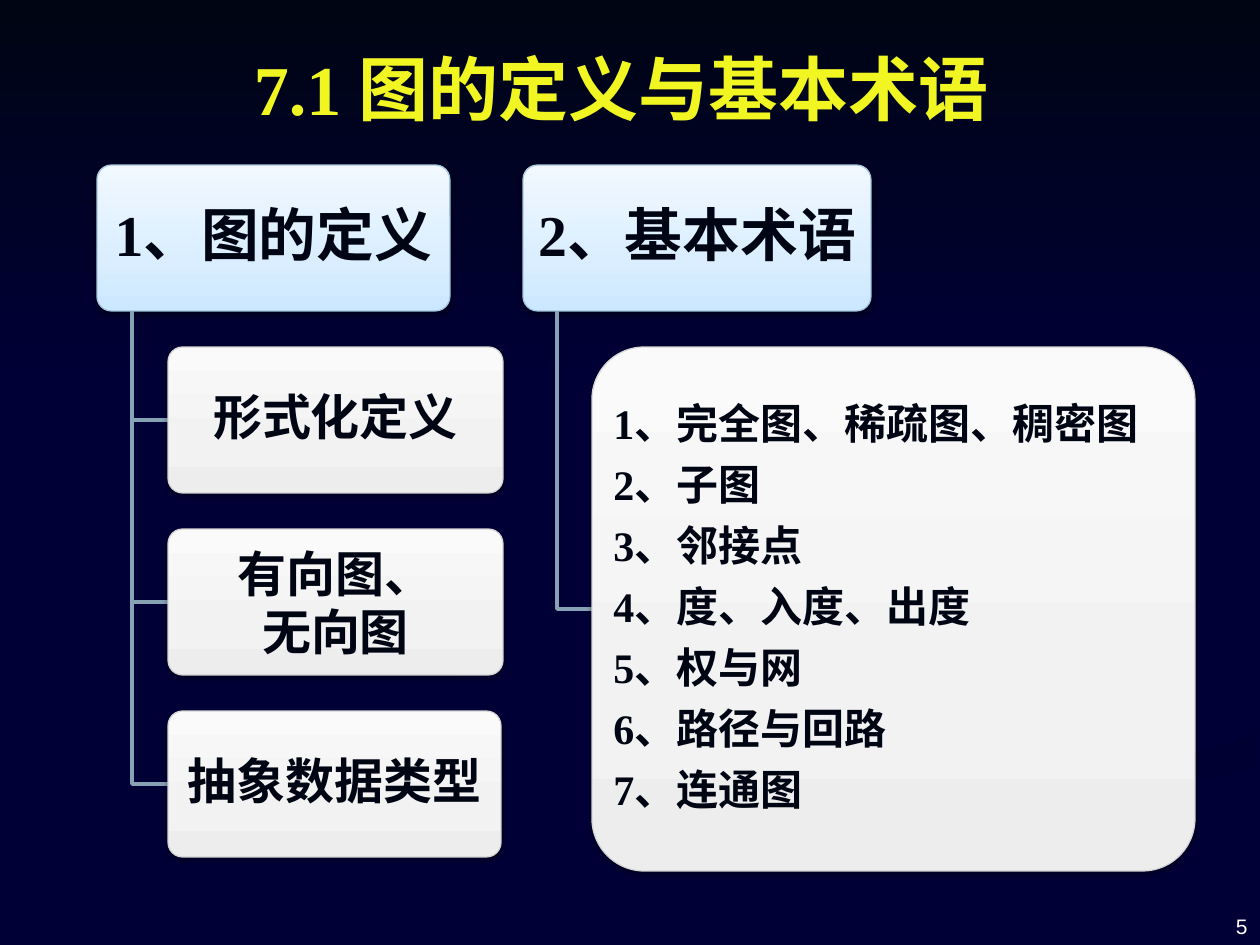
"""Build the overview slide on graph definitions and basic terms."""
from dataclasses import dataclass

from lxml import etree
from pptx import Presentation
from pptx.dml.color import RGBColor
from pptx.enum.shapes import MSO_SHAPE
from pptx.enum.text import MSO_ANCHOR, PP_ALIGN
from pptx.oxml import parse_xml
from pptx.oxml.ns import nsdecls, qn
from pptx.util import Emu, Pt

ROUNDED = MSO_SHAPE.ROUNDED_RECTANGLE
MIDDLE, BOTTOM = MSO_ANCHOR.MIDDLE, MSO_ANCHOR.BOTTOM
LEFT, CENTER, RIGHT = PP_ALIGN.LEFT, PP_ALIGN.CENTER, PP_ALIGN.RIGHT

EMU_PER_PX = 914400 / 126
SERIF, SANS = "Times New Roman", "Arial"

NAVY = RGBColor(0x00, 0x00, 0x36)
SWOOSH = RGBColor(0x00, 0x00, 0x32)
INK = RGBColor(0x00, 0x05, 0x14)
YELLOW = RGBColor(0xF1, 0xF6, 0x22)
WHITE = RGBColor(0xFF, 0xFF, 0xFF)
BRANCH = RGBColor(0x88, 0xA2, 0xB5)
BLUE_EDGE = RGBColor(0xA5, 0xC6, 0xDE)
GREY_EDGE = RGBColor(0xD5, 0xD5, 0xD5)
BLUE_STOPS = [
    (0, RGBColor(0xCC, 0xE8, 0xFF)),
    (35, RGBColor(0xDA, 0xEE, 0xFF)),
    (100, RGBColor(0xF1, 0xF8, 0xFF)),
]
GREY_STOPS = [
    (0, RGBColor(0xED, 0xED, 0xED)),
    (35, RGBColor(0xF2, 0xF2, 0xF2)),
    (100, RGBColor(0xFA, 0xFA, 0xFA)),
]
BACKGROUND_STOPS = [(0, INK), (41, NAVY), (100, NAVY)]
SWOOSH_STOPS = [(0, SWOOSH), (100, NAVY)]
UPWARD, DOWNWARD = 90, 270

SWOOSH_POINTS = [
    (634, 944), (654, 941), (717, 906), (794, 873), (877, 843), (963, 815),
    (1047, 793), (1138, 769), (1197, 753), (1230, 744), (1257, 732),
    (1257, 767), (1138, 794), (1034, 820), (948, 847), (876, 872),
    (818, 895), (756, 923), (719, 944),
]


@dataclass(frozen=True)
class BoxStyle:
    """Look of one level of the hierarchy."""

    stops: list
    edge: RGBColor
    size: int
    inset: tuple
    align: PP_ALIGN = CENTER


@dataclass(frozen=True)
class Box:
    """Rounded box placed in px."""

    left: int
    top: int
    width: int
    height: int
    lines: tuple
    style: BoxStyle
    line_spacing: float = 0.9
    gap: int = 0


HEADING = BoxStyle(BLUE_STOPS, BLUE_EDGE, 33, (9, 6))
TOPIC = BoxStyle(GREY_STOPS, GREY_EDGE, 28, (8, 5))
TERMS = BoxStyle(GREY_STOPS, GREY_EDGE, 24, (6, 4), LEFT)

ROW_TOP, ROW_PITCH, ROW_HEIGHT = 165, 182, 146


def row_top(row: int) -> int:
    """Return the top of a row of boxes."""
    return ROW_TOP + row * ROW_PITCH


TREES = [
    (
        Box(97, row_top(0), 353, ROW_HEIGHT, ("1、图的定义",), HEADING),
        [
            Box(168, row_top(1), 335, ROW_HEIGHT, ("形式化定义",), TOPIC),
            Box(168, row_top(2), 335, ROW_HEIGHT, ("有向图、", "无向图"), TOPIC, 1.0),
            Box(168, row_top(3), 333, ROW_HEIGHT, ("抽象数据类型",), TOPIC),
        ],
    ),
    (
        Box(523, row_top(0), 348, ROW_HEIGHT, ("2、基本术语",), HEADING),
        [
            Box(592, row_top(1), 603, 524, (
                "1、完全图、稀疏图、稠密图", "2、子图", "3、邻接点",
                "4、度、入度、出度", "5、权与网", "6、路径与回路", "7、连通图",
            ), TERMS, gap=9),
        ],
    ),
]


def px(length: float) -> Emu:
    """Turn px into EMU."""
    return Emu(round(length * EMU_PER_PX))


def set_gradient(fill, holder, stops: list, angle: int) -> None:
    """Give a fill a linear gradient with any number of stops."""
    fill.gradient()
    fill.gradient_angle = angle
    stop_list = holder.find(f".//{qn('a:gradFill')}/{qn('a:gsLst')}")
    for stop in list(stop_list):
        stop_list.remove(stop)
    for position, color in stops:
        stop = etree.SubElement(stop_list, qn("a:gs"), pos=str(position * 1000))
        etree.SubElement(stop, qn("a:srgbClr"), val=str(color))


def add_soft_shadow(shape) -> None:
    """Add a short soft shadow below a shape."""
    shape.element.spPr.append(parse_xml(
        f'<a:effectLst {nsdecls("a")}>'
        '<a:outerShdw blurRad="40000" dist="20000" dir="5400000" rotWithShape="0">'
        '<a:srgbClr val="000000"><a:alpha val="38000"/></a:srgbClr>'
        '</a:outerShdw></a:effectLst>'
    ))


def format_paragraph(paragraph, align, font_name: str, size: int, color, bold: bool) -> None:
    """Format a paragraph and its runs."""
    paragraph.alignment = align
    for run in paragraph.runs:
        run.font.name = font_name
        run.font.size = Pt(size)
        run.font.bold = bold
        run.font.color.rgb = color


def add_box(slide, box: Box) -> None:
    """Draw a rounded box with its text."""
    style = box.style
    shape = slide.shapes.add_shape(
        ROUNDED, px(box.left), px(box.top), px(box.width), px(box.height))
    shape.adjustments[0] = 0.1
    set_gradient(shape.fill, shape.element, style.stops, UPWARD)
    shape.line.color.rgb = style.edge
    shape.line.width = Pt(0.75)
    add_soft_shadow(shape)
    frame = shape.text_frame
    frame.word_wrap = True
    frame.vertical_anchor = MIDDLE
    frame.margin_left = frame.margin_right = px(style.inset[0])
    frame.margin_top = frame.margin_bottom = px(style.inset[1])
    frame.text = "\n".join(box.lines)
    for index, paragraph in enumerate(frame.paragraphs):
        format_paragraph(paragraph, style.align, SERIF, style.size, INK, True)
        paragraph.line_spacing = box.line_spacing
        if index and box.gap:
            paragraph.space_before = Pt(box.gap)


def add_path(slide, points: list, closed: bool):
    """Draw a freeform through points given in px."""
    builder = slide.shapes.build_freeform(*points[0], scale=EMU_PER_PX)
    builder.add_line_segments(points[1:], close=closed)
    shape = builder.convert_to_shape()
    shape.shadow.inherit = False
    return shape


def add_branch(slide, parent: Box, child: Box) -> None:
    """Draw the elbow line from a heading to a child box."""
    trunk = parent.left + parent.width // 10
    middle = child.top + child.height // 2
    points = [(trunk, parent.top + parent.height), (trunk, middle), (child.left, middle)]
    shape = add_path(slide, points, closed=False)
    shape.fill.background()
    shape.line.color.rgb = BRANCH
    shape.line.width = Pt(2)


def add_title(slide) -> None:
    """Place and format the title."""
    title = slide.shapes.title
    title.left, title.top, title.width, title.height = px(54), px(20), px(1134), px(135)
    title.text_frame.text = "7.1 图的定义与基本术语"
    title.text_frame.vertical_anchor = MIDDLE
    format_paragraph(title.text_frame.paragraphs[0], CENTER, SERIF, 40, YELLOW, True)


def add_page_number(slide) -> None:
    """Add the page number in the lower right corner."""
    frame = slide.shapes.add_textbox(px(966), px(879), px(294), px(66)).text_frame
    frame.word_wrap = True
    frame.vertical_anchor = BOTTOM
    frame.text = "5"
    format_paragraph(frame.paragraphs[0], RIGHT, SANS, 12, WHITE, False)


def main() -> None:
    """Build and save the presentation."""
    presentation = Presentation()
    presentation.slide_width, presentation.slide_height = px(1260), px(945)
    slide = presentation.slides.add_slide(presentation.slide_layouts[5])
    set_gradient(slide.background.fill, slide.element, BACKGROUND_STOPS, DOWNWARD)
    swoosh = add_path(slide, SWOOSH_POINTS, closed=True)
    set_gradient(swoosh.fill, swoosh.element, SWOOSH_STOPS, DOWNWARD)
    swoosh.line.fill.background()
    add_page_number(slide)
    add_title(slide)
    for heading, children in TREES:
        add_box(slide, heading)
        for child in children:
            add_branch(slide, heading, child)
            add_box(slide, child)
    presentation.save("out.pptx")


if __name__ == "__main__":
    main()
